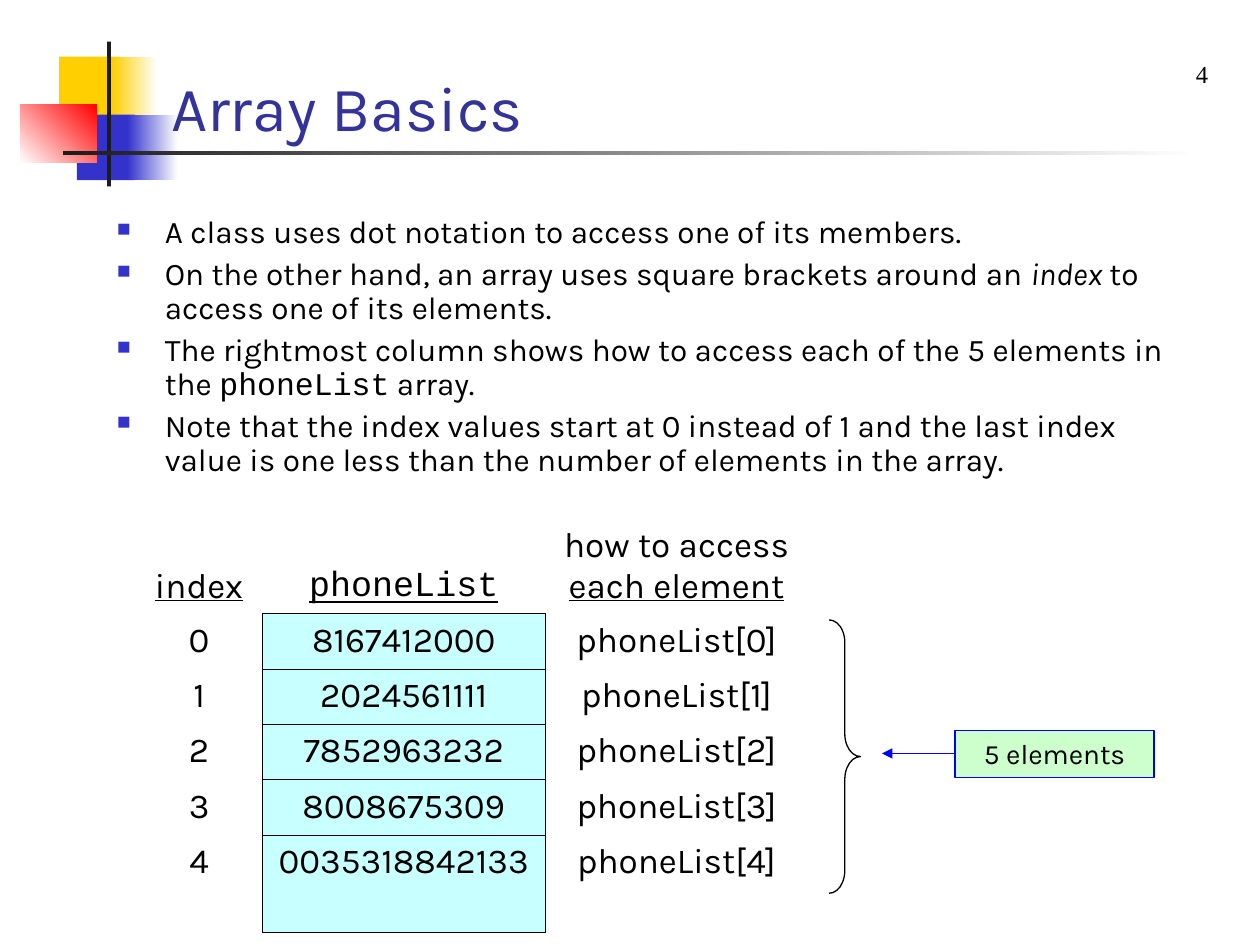
from lxml import etree
from pptx import Presentation
from pptx.dml.color import RGBColor
from pptx.enum.shapes import MSO_CONNECTOR, MSO_SHAPE
from pptx.enum.text import MSO_ANCHOR, PP_ALIGN
from pptx.oxml.ns import qn
from pptx.util import Inches, Pt

RECT, BRACE = MSO_SHAPE.RECTANGLE, MSO_SHAPE.RIGHT_BRACE
STRAIGHT = MSO_CONNECTOR.STRAIGHT
TOP, BOTTOM = MSO_ANCHOR.TOP, MSO_ANCHOR.BOTTOM
LEFT, CENTER = PP_ALIGN.LEFT, PP_ALIGN.CENTER

SANS, MONO, SERIF = "Karla", "Courier New", "Times New Roman"
BLACK, BLUE, WHITE = "000000", "0000FF", "FFFFFF"
YELLOW, INDIGO, CHARCOAL = "FFCF01", "3333CC", "1C1C1C"

DECORATION = [
    ((0.47, 0.45, 0.48, 0.52), [YELLOW], 0),
    ((0.89, 0.45, 0.36, 0.52), [YELLOW, WHITE], 0),
    ((0.61, 0.91, 0.46, 0.52), [INDIGO], 0),
    ((1.01, 0.91, 0.4, 0.52), [INDIGO, WHITE], 0),
    ((0.16, 0.83, 0.61, 0.46), [WHITE, "FF0000"], 45),
    ((0.85, 0.33, 0.03, 1.15), [CHARCOAL], 0),
    ((0.5, 1.2, 9, 0.03), [CHARCOAL, WHITE], 0),
]
TITLE = "Array Basics"
PAGE_NUMBER = "4"
POINTS = [
    [("A class uses dot notation to access one of its members.", "")],
    [("On the other hand, an array uses square brackets around an ", ""),
     ("index", "italic"), (" to access one of its elements.", "")],
    [("The rightmost column shows how to access each of the 5 elements in the ", ""),
     ("phoneList", "mono"), (" array.", "")],
    [("Note that the index values start at 0 instead of 1 and the last index "
      "value is one less than the number of elements in the array.", "")],
]
HEADINGS = [
    [("index", "underline")],
    [("phoneList", "mono underline")],
    [("how to access", ""), (" each element", "underline")],
]
PHONES = ["8167412000", "2024561111", "7852963232", "8008675309", "0035318842133"]
COUNT_LABEL = "5 elements"
COLUMN_WIDTHS = [1, 2.25, 2.08]
ROW_HEIGHTS = [0.87] + [0.44] * 4 + [0.77]


def color(value):
    return RGBColor.from_string(value)


def add_child(parent, tag, **attributes):
    return etree.SubElement(parent, qn(tag), attributes)


def write(paragraph, runs, size, font=SANS, ink=BLACK, align=LEFT):
    paragraph.alignment = align
    paragraph.font.size = Pt(size)
    paragraph.font.name = font
    paragraph.font.color.rgb = color(ink)
    for text, style in runs:
        run = paragraph.add_run()
        run.text = text
        if "italic" in style:
            run.font.italic = True
        if "underline" in style:
            run.font.underline = True
        if "mono" in style:
            run.font.name = MONO


def add_text(slide, box, anchor=TOP):
    frame = slide.shapes.add_textbox(*map(Inches, box)).text_frame
    frame.word_wrap = True
    frame.vertical_anchor = anchor
    return frame


def add_shape(slide, preset, box):
    shape = slide.shapes.add_shape(preset, *map(Inches, box))
    shape.shadow.inherit = False
    return shape


def outline(line, ink):
    line.color.rgb = color(ink)
    line.width = Pt(0.75)


def add_decoration(slide):
    for box, colors, angle in DECORATION:
        block = add_shape(slide, RECT, box)
        block.line.fill.background()
        if len(colors) == 1:
            block.fill.solid()
            block.fill.fore_color.rgb = color(colors[0])
        else:
            block.fill.gradient()
            block.fill.gradient_angle = angle
            for position, (stop, value) in enumerate(zip(block.fill.gradient_stops, colors)):
                stop.color.rgb = color(value)
                stop.position = position


def add_points(slide):
    frame = add_text(slide, (0.83, 1.67, 8.58, 2.25))
    for number, runs in enumerate(POINTS):
        paragraph = frame.paragraphs[0] if number == 0 else frame.add_paragraph()
        paragraph.line_spacing = 0.9
        if number:
            paragraph.space_before = Pt(4.5)
        properties = paragraph._p.get_or_add_pPr()
        properties.set("marL", str(Inches(0.38)))
        properties.set("indent", str(-Inches(0.38)))
        add_child(add_child(properties, "a:buClr"), "a:srgbClr", val=INDIGO)
        add_child(properties, "a:buSzPct", val="60000")
        add_child(properties, "a:buChar", char="■")
        write(paragraph, runs, 18)


def set_borders(cell, drawn):
    properties = cell._tc.get_or_add_tcPr()
    for side in "LRTB":
        border = add_child(properties, f"a:ln{side}", w=str(Pt(0.45)))
        if side in drawn:
            add_child(add_child(border, "a:solidFill"), "a:srgbClr", val=BLACK)
        else:
            add_child(border, "a:noFill")


def add_array_table(slide):
    rows = [HEADINGS] + [
        [[(text, "")] for text in (str(index), phone, f"phoneList[{index}]")]
        for index, phone in enumerate(PHONES)
    ]
    box = (1.08, 4.0, sum(COLUMN_WIDTHS), sum(ROW_HEIGHTS))
    table = slide.shapes.add_table(len(rows), len(COLUMN_WIDTHS), *map(Inches, box)).table
    table.first_row = table.horz_banding = False
    for column, width in zip(table.columns, COLUMN_WIDTHS):
        column.width = Inches(width)
    for row, height in zip(table.rows, ROW_HEIGHTS):
        row.height = Inches(height)
    header_borders, value_borders = ["", "B", ""], ["R", "LRTB", "L"]
    for r, row in enumerate(rows):
        for c, runs in enumerate(row):
            cell = table.cell(r, c)
            set_borders(cell, (value_borders if r else header_borders)[c])
            if r and c == 1:
                cell.fill.solid()
                cell.fill.fore_color.rgb = color("C8FFFF")
            else:
                cell.fill.background()
            cell.vertical_anchor = TOP if r else BOTTOM
            write(cell.text_frame.paragraphs[0], runs, 20, align=CENTER)


def add_count(slide):
    brace = add_shape(slide, BRACE, (6.58, 4.92, 0.25, 2.17))
    brace.adjustments[0] = 0.72
    brace.fill.background()
    outline(brace.line, BLACK)

    label = add_shape(slide, RECT, (7.58, 5.8, 1.58, 0.37))
    label.fill.solid()
    label.fill.fore_color.rgb = color("CCFFCC")
    outline(label.line, BLUE)
    label.text_frame.word_wrap = True
    label.text_frame.vertical_anchor = TOP
    write(label.text_frame.paragraphs[0], [(COUNT_LABEL, "")], 16, align=CENTER)

    arrow = slide.shapes.add_connector(STRAIGHT, *map(Inches, (7.58, 5.98, 7, 5.98)))
    outline(arrow.line, BLUE)
    add_child(arrow.line._get_or_add_ln(), "a:tailEnd", type="triangle")
    add_child(arrow._element.spPr, "a:effectLst")


def main():
    presentation = Presentation()
    presentation.slide_width, presentation.slide_height = Inches(10), Inches(7.5)
    slide = presentation.slides.add_slide(presentation.slide_layouts[6])
    add_decoration(slide)
    title = add_text(slide, (1.26, 0.37, 7.74, 0.82), BOTTOM)
    write(title.paragraphs[0], [(TITLE, "")], 36, ink="333399")
    add_points(slide)
    add_array_table(slide)
    add_count(slide)
    page = add_text(slide, (9.33, 0.42, 0.42, 0.33))
    write(page.paragraphs[0], [(PAGE_NUMBER, "")], 14, SERIF, align=CENTER)
    presentation.save("out.pptx")


if __name__ == "__main__":
    main()
